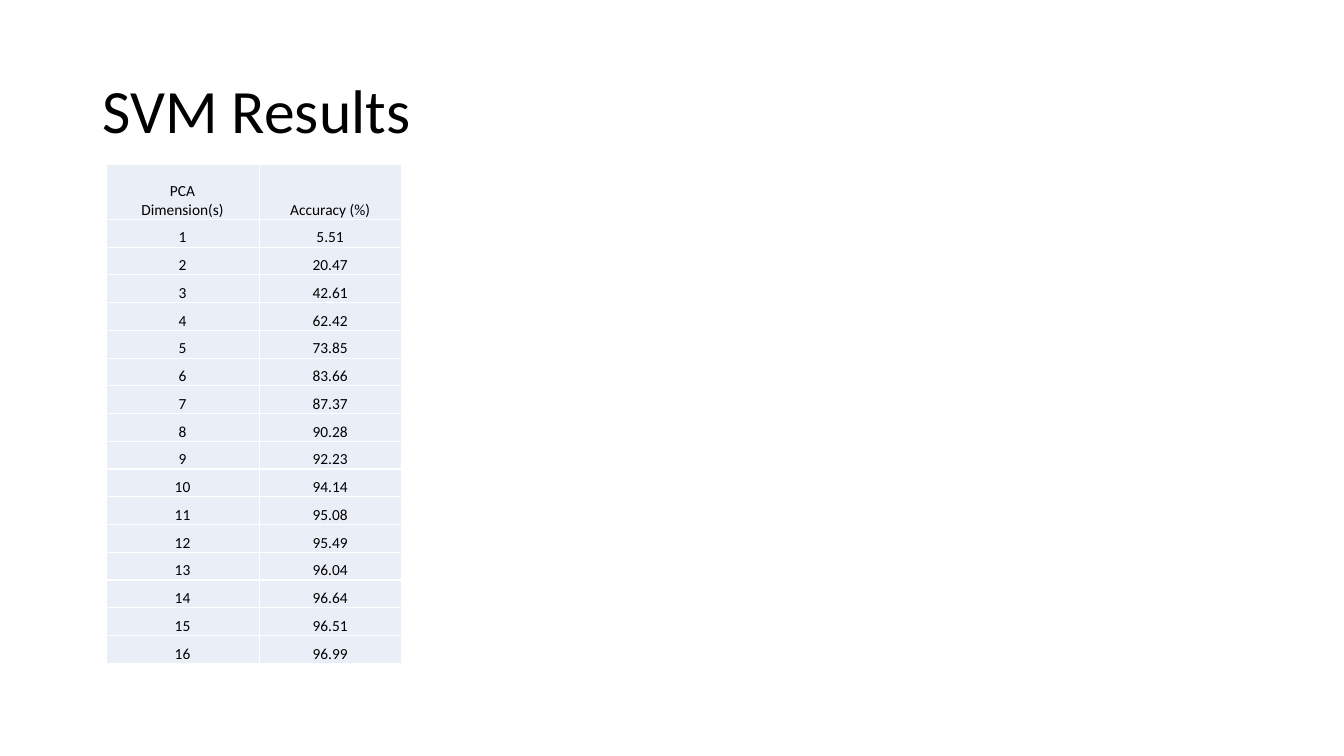
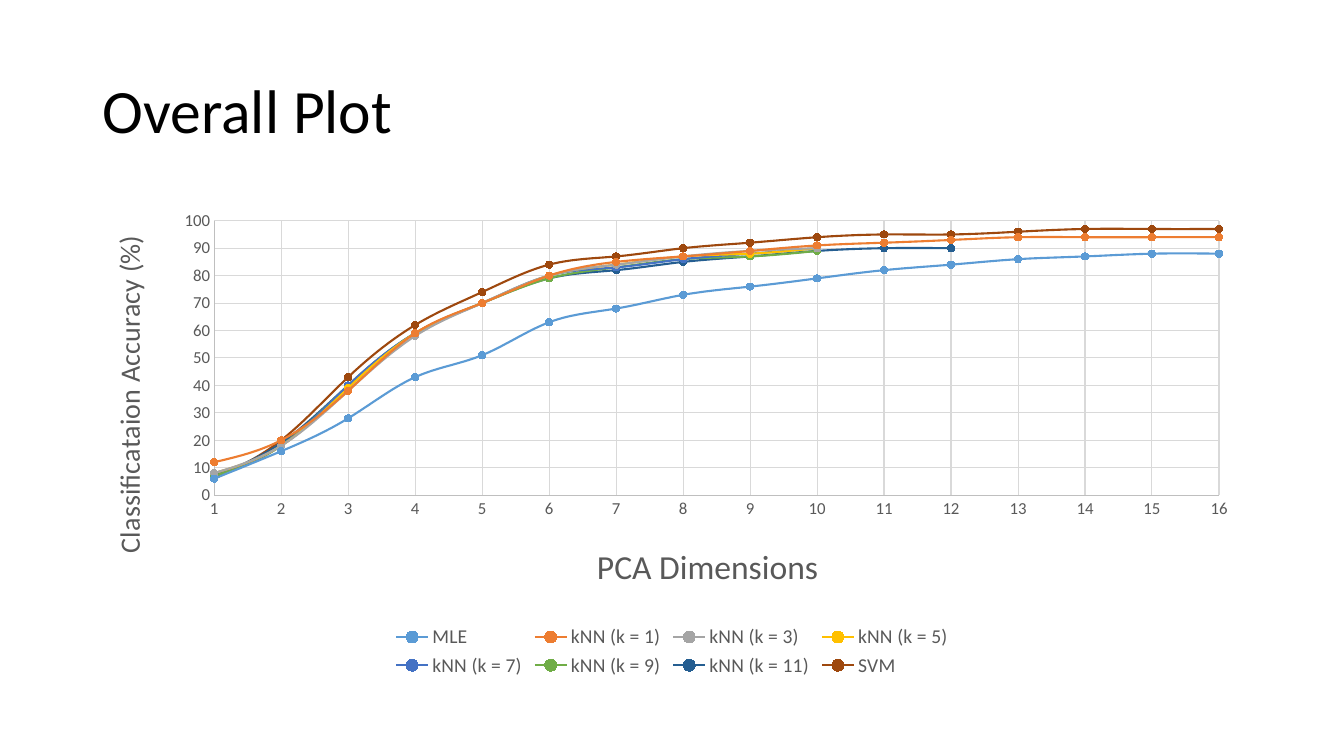
from dataclasses import dataclass

from lxml.etree import SubElement
from pptx import Presentation
from pptx.chart.axis import ValueAxis
from pptx.chart.data import XyChartData
from pptx.dml.color import RGBColor
from pptx.enum.chart import (XL_CHART_TYPE, XL_LEGEND_POSITION,
                             XL_MARKER_STYLE, XL_TICK_MARK)
from pptx.enum.text import MSO_ANCHOR, MSO_AUTO_SIZE, PP_ALIGN
from pptx.oxml import parse_xml
from pptx.oxml.ns import nsdecls, qn
from pptx.oxml.xmlchemy import BaseOxmlElement
from pptx.slide import Slide
from pptx.table import _Cell
from pptx.text.text import Font, TextFrame
from pptx.util import Cm, Pt

FONT = "Calibri"
BLACK = RGBColor(0x00, 0x00, 0x00)
WHITE = RGBColor(0xFF, 0xFF, 0xFF)
CELL_FILL = RGBColor(0xEA, 0xEF, 0xF7)
CHART_TEXT = RGBColor(0x59, 0x59, 0x59)
AXIS_LINE = RGBColor(0xBF, 0xBF, 0xBF)
GRID_LINE = RGBColor(0xD9, 0xD9, 0xD9)

SVM_ACCURACY = [5.51, 20.47, 42.61, 62.42, 73.85, 83.66, 87.37, 90.28,
                92.23, 94.14, 95.08, 95.49, 96.04, 96.64, 96.51, 96.99]


@dataclass(frozen=True)
class Curve:
    """Accuracy of one classifier for 1, 2, 3... PCA dimensions."""
    name: str
    color: RGBColor
    values: list[int]


@dataclass(frozen=True)
class AxisSpec:
    """Title, its size and place (fractions of the chart), and scale of an axis."""
    title: str
    size: int
    x: float
    y: float
    low: int
    high: int
    step: int
    rotation: int = 0


CURVES = [
    Curve("MLE", RGBColor(0x5B, 0x9B, 0xD5),
          [6, 16, 28, 43, 51, 63, 68, 73, 76, 79, 82, 84, 86, 87, 88, 88]),
    Curve("kNN (k = 1)", RGBColor(0xED, 0x7D, 0x31),
          [12, 20, 38, 59, 70, 80, 85, 87, 89, 91, 92, 93, 94, 94, 94, 94]),
    Curve("kNN (k = 3)", RGBColor(0xA5, 0xA5, 0xA5),
          [8, 18, 38, 58, 70, 80, 84, 87, 89, 90]),
    Curve("kNN (k = 5)", RGBColor(0xFF, 0xC0, 0x00),
          [8, 18, 39, 59, 70, 80, 84, 87, 88, 90]),
    Curve("kNN (k = 7)", RGBColor(0x44, 0x72, 0xC4),
          [8, 18, 40, 59, 70, 80, 83, 86, 88, 90]),
    Curve("kNN (k = 9)", RGBColor(0x70, 0xAD, 0x47),
          [7, 18, 40, 59, 70, 79, 83, 86, 87, 89]),
    Curve("kNN (k = 11)", RGBColor(0x25, 0x5E, 0x91),
          [7, 19, 40, 59, 70, 79, 82, 85, 87, 89, 90, 90]),
    Curve("SVM", RGBColor(0x9E, 0x48, 0x0E),
          [round(value) for value in SVM_ACCURACY]),
]
DIMENSIONS = AxisSpec("PCA Dimensions", 24, 0.43, 0.7, 1, 16, 1)
ACCURACY = AxisSpec("Classificataion Accuracy (%)", 20, 0.01, 0.06, 0, 100, 10,
                    rotation=-90)


def set_font(font: Font, size: float, color: RGBColor) -> None:
    """Apply the deck's typeface with a size and colour."""
    font.name, font.size, font.bold = FONT, Pt(size), False
    font.color.rgb = color


def write(tf: TextFrame, text: str, *, size: float, color: RGBColor = BLACK,
          align: PP_ALIGN | None = None, spacing: float | None = None) -> None:
    """Fill a text frame and format each of its paragraphs."""
    tf.text = text
    for p in tf.paragraphs:
        p.alignment, p.line_spacing = align, spacing
        for r in p.runs:
            set_font(r.font, size, color)


def add_titled_slide(prs: Presentation, title: str) -> Slide:
    """Add a slide with the shared title style."""
    s = prs.slides.add_slide(prs.slide_layouts[5])
    sp = s.shapes.title
    sp.left, sp.top, sp.width, sp.height = Cm(2.33), Cm(1.01), Cm(29.21), Cm(3.68)
    tf = sp.text_frame
    write(tf, title, size=44, align=PP_ALIGN.LEFT, spacing=0.9)
    tf.vertical_anchor, tf.auto_size = MSO_ANCHOR.MIDDLE, MSO_AUTO_SIZE.NONE
    return s


def format_cell(cell: _Cell, text: str) -> None:
    """Write a table cell with its fill, margins and borders."""
    write(cell.text_frame, text, size=11, align=PP_ALIGN.CENTER)
    cell.vertical_anchor = MSO_ANCHOR.BOTTOM
    cell.margin_left = cell.margin_right = cell.margin_top = Cm(0.02)
    cell.margin_bottom = 0
    properties = cell._tc.get_or_add_tcPr()
    for side in ("a:lnL", "a:lnR", "a:lnT", "a:lnB"):
        line = SubElement(properties, qn(side), w=str(Pt(1)))
        fill = SubElement(line, qn("a:solidFill"))
        SubElement(fill, qn("a:srgbClr"), val=str(WHITE))
    cell.fill.solid()
    cell.fill.fore_color.rgb = CELL_FILL


def add_results_table(s: Slide) -> None:
    """Add the table of SVM accuracy by dimension."""
    rows = [("PCA\nDimension(s)", "Accuracy (%)")]
    rows += [(str(i), f"{value:.2f}") for i, value in enumerate(SVM_ACCURACY, 1)]
    table = s.shapes.add_table(len(rows), 2, Cm(2.67), Cm(4.15),
                               Cm(7.44), Cm(12.6)).table
    for column, width in zip(table.columns, (3.86, 3.58)):
        column.width = Cm(width)
    for i, texts in enumerate(rows):
        table.rows[i].height = Cm(0.7 if i else 1.38)
        for j, text in enumerate(texts):
            format_cell(table.cell(i, j), text)


def place(element: BaseOxmlElement, **fractions: float) -> None:
    """Place a chart part by fractions of the chart (x, y, w, h)."""
    for old in element.findall(qn("c:layout")):
        element.remove(old)
    layout = parse_xml(f"<c:layout {nsdecls('c')}><c:manualLayout/></c:layout>")
    manual = layout[0]
    if "w" in fractions:
        SubElement(manual, qn("c:layoutTarget"), val="inner")
    for key in ("x", "y"):
        SubElement(manual, qn(f"c:{key}Mode"), val="edge")
    for key, value in fractions.items():
        SubElement(manual, qn(f"c:{key}"), val=str(value))
    element.insert(0 if element.find(qn("c:tx")) is None else 1, layout)


def format_axis(axis: ValueAxis, spec: AxisSpec) -> None:
    """Set the scale, lines, labels and title of an axis."""
    axis.minimum_scale, axis.maximum_scale = spec.low, spec.high
    axis.major_unit = spec.step
    axis.major_tick_mark = axis.minor_tick_mark = XL_TICK_MARK.NONE
    axis.has_major_gridlines = True
    for line, color in ((axis.format.line, AXIS_LINE),
                        (axis.major_gridlines.format.line, GRID_LINE)):
        line.color.rgb, line.width = color, Pt(0.75)
    set_font(axis.tick_labels.font, 12, CHART_TEXT)
    title = axis.axis_title
    write(title.text_frame, spec.title, size=spec.size, color=CHART_TEXT)
    body = title.text_frame._txBody.find(qn("a:bodyPr"))
    body.set("rot", str(spec.rotation * 60000))
    place(title._element, x=spec.x, y=spec.y)


def add_accuracy_chart(s: Slide) -> None:
    """Add the smooth scatter chart that compares all classifiers."""
    data = XyChartData()
    for curve in CURVES:
        points = data.add_series(curve.name)
        for x, y in enumerate(curve.values, 1):
            points.add_data_point(x, y)
    chart = s.shapes.add_chart(XL_CHART_TYPE.XY_SCATTER_SMOOTH, Cm(2.33), Cm(5.08),
                               Cm(29.21), Cm(12.09), data).chart
    set_font(chart.font, 10, BLACK)
    chart.has_title = False
    chart.has_legend = True
    chart.legend.position = XL_LEGEND_POSITION.BOTTOM
    chart.legend.include_in_layout = False
    set_font(chart.legend.font, 14, CHART_TEXT)
    format_axis(chart.category_axis, DIMENSIONS)
    format_axis(chart.value_axis, ACCURACY)
    plot = chart.plots[0]
    plot.vary_by_categories = False
    for series, curve in zip(plot.series, CURVES):
        series._element.get_or_add_smooth().val = True
        series.format.line.color.rgb = curve.color
        series.format.line.width = Pt(1.5)
        marker = series.marker
        marker.style, marker.size = XL_MARKER_STYLE.CIRCLE, 5
        marker.format.fill.solid()
        marker.format.fill.fore_color.rgb = curve.color
        marker.format.line.color.rgb = curve.color
    place(chart._chartSpace.chart.plotArea, x=0.105, y=0.04, w=0.867, h=0.572)


def main() -> None:
    """Build and save the deck."""
    prs = Presentation()
    prs.slide_width, prs.slide_height = Cm(33.87), Cm(19.05)
    add_results_table(add_titled_slide(prs, "SVM Results"))
    add_accuracy_chart(add_titled_slide(prs, "Overall Plot"))
    prs.save("out.pptx")


main()
